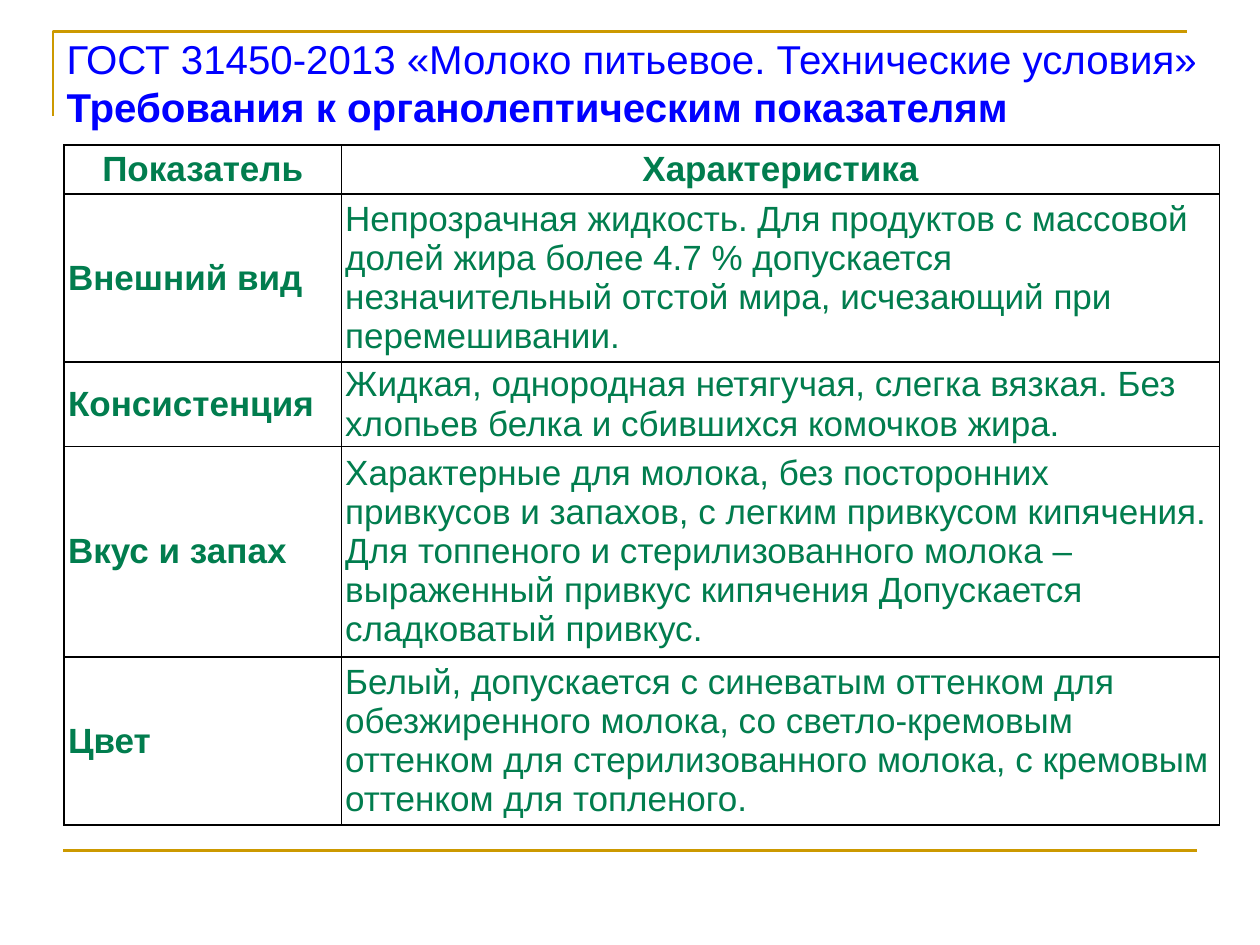
import pptx
import pptx.dml.color
import pptx.enum.shapes
import pptx.enum.text
import pptx.oxml
import pptx.oxml.ns
import pptx.util
from pptx.util import Inches

GOLD = pptx.dml.color.RGBColor(0xCC, 0x99, 0x00)
BLUE = pptx.dml.color.RGBColor(0x00, 0x00, 0xFF)
GREEN = pptx.dml.color.RGBColor(0x01, 0x7D, 0x4E)
BLACK = pptx.dml.color.RGBColor(0x00, 0x00, 0x00)

TITLE_LINES = [
    ("ГОСТ 31450-2013 «Молоко питьевое. Технические условия»", False),
    ("Требования к органолептическим показателям", True),
]
COLUMN_WIDTHS = [2.2, 6.97]
ROW_HEIGHTS = [0.39, 1.33, 0.67, 1.67, 1.33]
REQUIREMENTS = [
    ("Показатель", "Характеристика"),
    ("Внешний вид",
     "Непрозрачная жидкость. Для продуктов с массовой долей жира более 4.7 % "
     "допускается незначительный отстой мира, исчезающий при перемешивании."),
    ("Консистенция",
     "Жидкая, однородная нетягучая, слегка вязкая. Без хлопьев белка и "
     "сбившихся комочков жира."),
    ("Вкус и запах",
     "Характерные для молока, без посторонних привкусов и запахов, с легким "
     "привкусом кипячения. Для топпеного и стерилизованного молока – "
     "выраженный привкус кипячения Допускается сладковатый привкус."),
    ("Цвет",
     "Белый, допускается с синеватым оттенком для обезжиренного молока, со "
     "светло-кремовым оттенком для стерилизованного молока, с кремовым "
     "оттенком для топленого."),
]


def style_paragraph(paragraph, size, color, bold):
    paragraph.font.name = "Arial"
    paragraph.font.size = pptx.util.Pt(size)
    paragraph.font.color.rgb = color
    paragraph.font.bold = bold


def style_line(shape):
    shape.line.color.rgb = GOLD
    shape.line.width = pptx.util.Pt(1.5)


def add_corner_frame(slide):
    builder = slide.shapes.build_freeform(Inches(0.42), Inches(0.92))
    corner_points = [(0.42, 0.25), (9.42, 0.25)]
    builder.add_line_segments(
        [(Inches(x), Inches(y)) for x, y in corner_points], close=False)
    frame = builder.convert_to_shape()
    frame.shadow.inherit = False
    frame.fill.background()
    style_line(frame)


def add_bottom_rule(slide):
    rule = slide.shapes.add_connector(
        pptx.enum.shapes.MSO_CONNECTOR.STRAIGHT,
        Inches(0.5), Inches(6.75), Inches(9.5), Inches(6.75))
    style_line(rule)
    properties = rule._element.spPr
    properties.append(properties.makeelement(pptx.oxml.ns.qn("a:effectLst"), {}))


def add_title(slide):
    box = slide.shapes.add_textbox(
        Inches(0.43), Inches(0.22), Inches(9.57), Inches(0.91))
    frame = box.text_frame
    frame.word_wrap = True
    frame.text = "\n".join(text for text, bold in TITLE_LINES)
    for paragraph, (text, bold) in zip(frame.paragraphs, TITLE_LINES):
        style_paragraph(paragraph, 23, BLUE, bold)


def add_cell_borders(cell):
    properties = cell._tc.get_or_add_tcPr()
    for index, side in enumerate(("lnL", "lnR", "lnT", "lnB")):
        border = pptx.oxml.parse_xml(
            f'<a:{side} {pptx.oxml.ns.nsdecls("a")} w="{pptx.util.Pt(1)}">'
            f'<a:solidFill><a:srgbClr val="{BLACK}"/></a:solidFill></a:{side}>')
        properties.insert(index, border)


def fill_cell(cell, text, bold, centered):
    cell.text = text
    cell.fill.background()
    cell.vertical_anchor = pptx.enum.text.MSO_ANCHOR.MIDDLE
    cell.margin_left = cell.margin_right = Inches(0.03)
    cell.margin_top = cell.margin_bottom = 0
    paragraph = cell.text_frame.paragraphs[0]
    style_paragraph(paragraph, 20, GREEN, bold)
    if centered:
        paragraph.alignment = pptx.enum.text.PP_ALIGN.CENTER
    add_cell_borders(cell)


def add_requirements_table(slide):
    table = slide.shapes.add_table(
        len(ROW_HEIGHTS), len(COLUMN_WIDTHS), Inches(0.51), Inches(1.15),
        Inches(sum(COLUMN_WIDTHS)), Inches(sum(ROW_HEIGHTS))).table
    table.horz_banding = False
    for column, width in zip(table.columns, COLUMN_WIDTHS):
        column.width = Inches(width)
    for row, height in zip(table.rows, ROW_HEIGHTS):
        row.height = Inches(height)
    for row_index, texts in enumerate(REQUIREMENTS):
        header = row_index == 0
        for column_index, text in enumerate(texts):
            fill_cell(table.cell(row_index, column_index), text,
                      bold=header or column_index == 0, centered=header)


def main():
    deck = pptx.Presentation()
    deck.slide_width = Inches(10)
    deck.slide_height = Inches(7.5)
    slide = deck.slides.add_slide(deck.slide_layouts[6])
    add_corner_frame(slide)
    add_bottom_rule(slide)
    add_title(slide)
    add_requirements_table(slide)
    deck.save("out.pptx")


if __name__ == "__main__":
    main()
